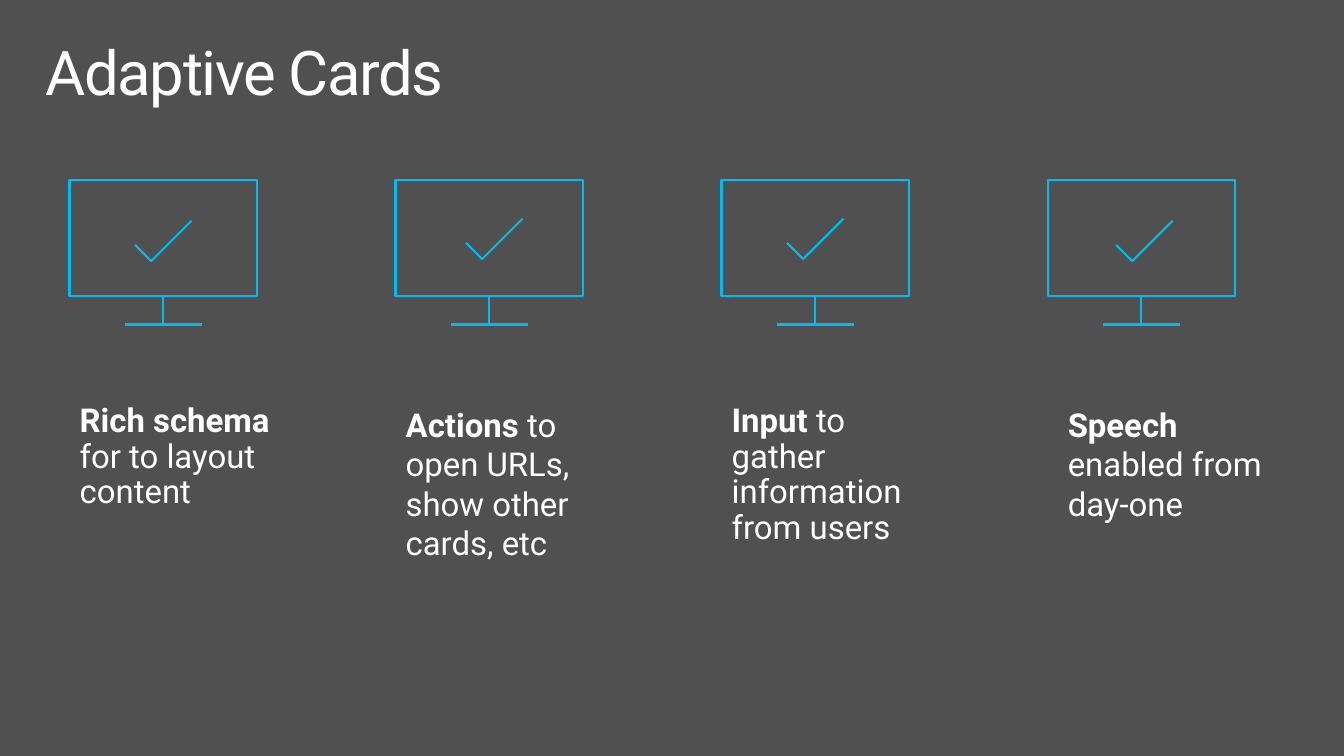
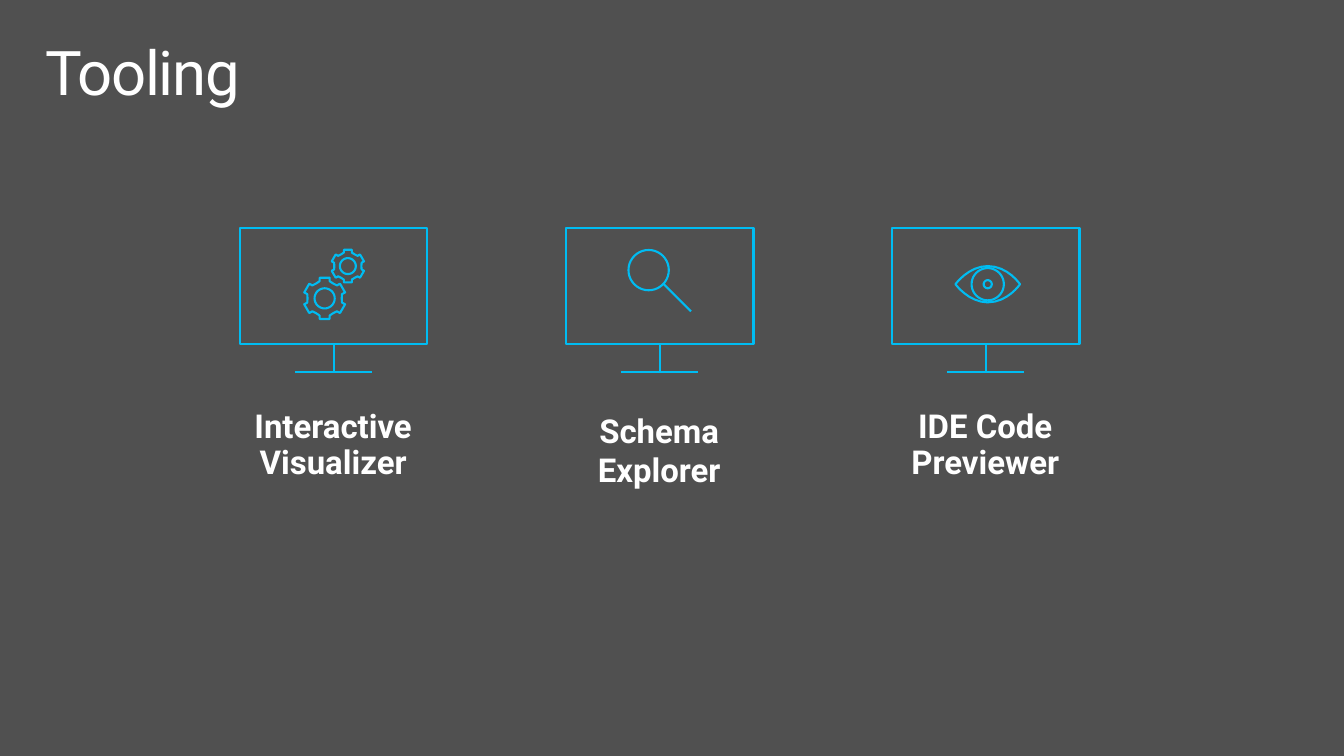
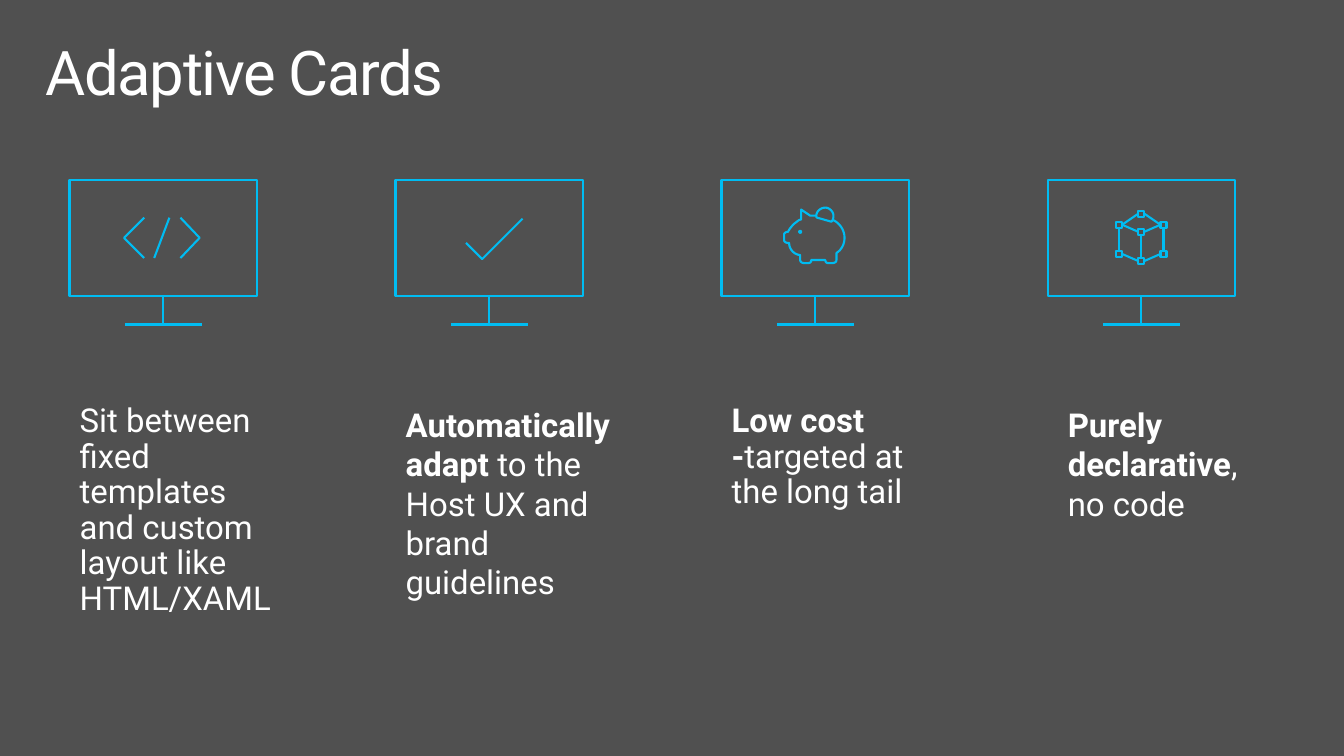
from dataclasses import dataclass
from math import cos, pi, sin

from pptx import Presentation
from pptx.dml.color import RGBColor
from pptx.enum.text import MSO_ANCHOR, MSO_AUTO_SIZE, PP_ALIGN
from pptx.util import Inches, Pt

LEFT, CENTER = PP_ALIGN.LEFT, PP_ALIGN.CENTER
TOP = MSO_ANCHOR.TOP
FIXED, GROW = MSO_AUTO_SIZE.NONE, MSO_AUTO_SIZE.SHAPE_TO_FIT_TEXT
TITLE_ONLY = 5


@dataclass(frozen=True)
class Theme:
    background: RGBColor = RGBColor(0x50, 0x50, 0x50)
    text: RGBColor = RGBColor(0xFF, 0xFF, 0xFF)
    accent: RGBColor = RGBColor(0x00, 0xBC, 0xF2)
    font: str = "Roboto"
    title_size: float = 44
    caption_size: float = 23.5
    stroke: float = 1.5
    tight: float = 0.9


@dataclass(frozen=True)
class Card:
    icon: tuple
    bold: str
    plain: str
    height: float
    caption_shift: float = -0.1
    caption_width: float = 2.35


THEME = Theme()
PITCH = 9.7 / 3
SCREEN_WIDTH, SCREEN_HEIGHT, MONITOR_HEIGHT = 1.86, 1.15, 1.43


def shift(strokes, dx, dy):
    return [[(x + dx, y + dy) for x, y in stroke] for stroke in strokes]


def trace(start, *steps, samples=8):
    points = [start]
    for step in steps:
        if len(step) == 1:
            points.append(step[0])
            continue
        nodes = (points[-1], *step)
        for i in range(1, samples + 1):
            t = i / samples
            weights = ((1 - t) ** 3, 3 * t * (1 - t) ** 2, 3 * t * t * (1 - t), t ** 3)
            points.append(tuple(sum(w * node[axis] for w, node in zip(weights, nodes))
                                for axis in (0, 1)))
    return points


def circle(cx, cy, radius, sides=40):
    angles = [2 * pi * i / sides for i in range(sides + 1)]
    return [(cx + radius * cos(a), cy + radius * sin(a)) for a in angles]


def rectangle(left, top, width, height):
    right, bottom = left + width, top + height
    return [(left, top), (right, top), (right, bottom), (left, bottom), (left, top)]


def check(left, top):
    return shift([[(0.56, 0), (0.16, 0.4), (0, 0.24)]], left, top)


def gear(cx, cy, scale=1.0):
    tooth = [(-0.05, -0.17), (-0.05, -0.205), (0.05, -0.205), (0.05, -0.17), (0.085, -0.147)]
    rim = []
    for k in range(6):
        c, s = cos(k * pi / 3), sin(k * pi / 3)
        rim += [(scale * (x * c - y * s), scale * (x * s + y * c)) for x, y in tooth]
    return shift([rim + rim[:1], circle(0, 0, 0.1 * scale)], cx, cy)


def magnifier():
    return [circle(0.82, 0.42, 0.2), [(0.97, 0.56), (1.24, 0.83)]]


def eye():
    lids = trace((-0.32, 0),
                 ((-0.32, 0), (-0.19, -0.18), (0, -0.18)),
                 ((0.2, -0.18), (0.32, 0), (0.32, 0)),
                 ((0.32, 0), (0.2, 0.18), (0, 0.18)),
                 ((-0.19, 0.18), (-0.32, 0), (-0.32, 0)))
    return shift([lids, circle(0, 0, 0.16), circle(0, 0, 0.04)], 0.95, 0.56)


def code_tag():
    return [[(0.74, 0.77), (0.54, 0.57), (0.74, 0.37)],
            [(1.1, 0.77), (1.29, 0.57), (1.1, 0.37)],
            [(0.99, 0.37), (0.84, 0.77)]]


def piggy_bank():
    coin = trace((0.95, 0.37),
                 ((0.94, 0.37), (0.94, 0.36), (0.94, 0.35)),
                 ((0.94, 0.31), (0.98, 0.27), (1.03, 0.27)),
                 ((1.07, 0.27), (1.11, 0.31), (1.11, 0.35)),
                 ((1.11, 0.38), (1.1, 0.4), (1.09, 0.41)),
                 ((0.95, 0.37),))
    body = trace((0.94, 0.35),
                 ((0.88, 0.35),), ((0.79, 0.29),), ((0.79, 0.38),),
                 ((0.79, 0.38), (0.79, 0.39), (0.78, 0.39)),
                 ((0.77, 0.39), (0.76, 0.4), (0.72, 0.43)),
                 ((0.67, 0.48), (0.66, 0.51), (0.66, 0.51)),
                 ((0.64, 0.51), (0.62, 0.52), (0.62, 0.54)),
                 ((0.62, 0.59),),
                 ((0.62, 0.61), (0.64, 0.62), (0.66, 0.62)),
                 ((0.67, 0.62),),
                 ((0.67, 0.69), (0.73, 0.74), (0.78, 0.74)),
                 ((0.78, 0.79),),
                 ((0.78, 0.81), (0.8, 0.82), (0.82, 0.82)),
                 ((0.86, 0.82),),
                 ((0.88, 0.82), (0.89, 0.81), (0.89, 0.79)),
                 ((1.03, 0.79),),
                 ((1.03, 0.81), (1.04, 0.82), (1.06, 0.82)),
                 ((1.1, 0.82),),
                 ((1.12, 0.82), (1.14, 0.81), (1.14, 0.79)),
                 ((1.14, 0.72),),
                 ((1.19, 0.69), (1.22, 0.63), (1.22, 0.57)),
                 ((1.22, 0.49), (1.17, 0.42), (1.1, 0.39)))
    return [coin, body, circle(0.78, 0.51, 0.01, 8)]


def cube():
    half = 0.03
    back, left, right, front = (0.93, 0.33), (0.71, 0.44), (1.15, 0.44), (0.93, 0.51)
    low_left, low_right, low_front = (0.71, 0.73), (1.15, 0.73), (0.93, 0.8)
    corners = (back, left, right, front, low_left, low_right, low_front)
    edges = ((left, back), (back, right), (left, front), (front, right),
             (low_left, low_front), (low_front, low_right),
             (left, low_left), (right, low_right), (front, low_front))
    strokes = [rectangle(x - half, y - half, 2 * half, 2 * half) for x, y in corners]
    for (x1, y1), (x2, y2) in edges:
        dx, dy = (0, half) if x1 == x2 else (half, 0)
        strokes.append([(x1 + dx, y1 + dy), (x2 - dx, y2 - dy)])
    return strokes


def monitor():
    middle = SCREEN_WIDTH / 2
    return [rectangle(0, 0, SCREEN_WIDTH, SCREEN_HEIGHT),
            [(middle, SCREEN_HEIGHT), (middle, MONITOR_HEIGHT)],
            [(middle - 0.38, MONITOR_HEIGHT), (middle + 0.38, MONITOR_HEIGHT)]]


def draw_outline(slide, strokes, left, top):
    placed = [[(Inches(x), Inches(y)) for x, y in stroke]
              for stroke in shift(strokes, left, top)]
    builder = slide.shapes.build_freeform(*placed[0][0], scale=1.0)
    builder.add_line_segments(placed[0][1:], close=False)
    for stroke in placed[1:]:
        builder.move_to(*stroke[0])
        builder.add_line_segments(stroke[1:], close=False)
    outline = builder.convert_to_shape()
    outline.fill.background()
    outline.line.color.rgb = THEME.accent
    outline.line.width = Pt(THEME.stroke)
    outline.shadow.inherit = False


def set_margins(frame, side, edge):
    frame.margin_left = frame.margin_right = Inches(side)
    frame.margin_top = frame.margin_bottom = Inches(edge)
    frame.vertical_anchor = TOP
    frame.word_wrap = True


def style_run(run, size, bold=False):
    run.font.name = THEME.font
    run.font.size = Pt(size)
    run.font.bold = bold
    run.font.color.rgb = THEME.text


def add_titled_slide(prs, heading):
    slide = prs.slides.add_slide(prs.slide_layouts[TITLE_ONLY])
    title = slide.shapes.title
    title.left, title.top = Inches(0.29), Inches(0.32)
    title.width, title.height = Inches(12.75), Inches(0.98)
    frame = title.text_frame
    frame.text = heading
    frame.auto_size = FIXED
    set_margins(frame, 0.16, 0.1)
    paragraph = frame.paragraphs[0]
    paragraph.alignment = LEFT
    paragraph.line_spacing = THEME.tight
    run = paragraph.runs[0]
    style_run(run, THEME.title_size)
    run.font._element.set("spc", "-100")
    return slide


def add_caption(slide, card, left, top, alignment, tight):
    caption = slide.shapes.add_textbox(Inches(left), Inches(top),
                                       Inches(card.caption_width), Inches(card.height))
    frame = caption.text_frame
    set_margins(frame, 0.2, 0.16)
    frame.auto_size = GROW
    paragraph = frame.paragraphs[0]
    paragraph.alignment = alignment
    if tight:
        paragraph.line_spacing = THEME.tight
        paragraph.space_after = Pt(5.9)
    for words, bold in ((card.bold, True), (card.plain, False)):
        if words:
            run = paragraph.add_run()
            run.text = words
            style_run(run, THEME.caption_size, bold)


def add_card_row(slide, cards, left, top, caption_top, alignment=LEFT):
    for i, card in enumerate(cards):
        card_left = left + i * PITCH
        draw_outline(slide, monitor(), card_left, top)
        for strokes in card.icon:
            draw_outline(slide, strokes, card_left, top)
        add_caption(slide, card, card_left + card.caption_shift, caption_top,
                    alignment, tight=i % 2 == 0)


def add_feature_slide(prs, heading, cards):
    add_card_row(add_titled_slide(prs, heading), cards, 0.69, 1.79, 3.85)


def add_tooling_slide(prs, heading, cards):
    add_card_row(add_titled_slide(prs, heading), cards, 2.38, 2.26, 3.91, CENTER)


def main():
    prs = Presentation()
    prs.slide_width, prs.slide_height = Inches(13.33), Inches(7.5)
    backdrop = prs.slide_master.background.fill
    backdrop.solid()
    backdrop.fore_color.rgb = THEME.background

    add_feature_slide(prs, "Adaptive Cards", [
        Card((check(0.65, 0.4),), "Rich schema ", "for to layout content", 1.39),
        Card((check(0.7, 0.38),), "Actions ", "to open URLs, show other cards, etc", 1.9,
             caption_width=2.45),
        Card((check(0.65, 0.38),), "Input ", "to gather information from users", 1.74),
        Card((check(0.68, 0.4),), "Speech ", "enabled from day-one", 1.5, caption_shift=0),
    ])
    add_tooling_slide(prs, "Tooling", [
        Card((gear(0.84, 0.7), gear(1.07, 0.38, 0.79)), "Interactive Visualizer", "", 1.03,
             caption_shift=-0.25),
        Card((magnifier(),), "Schema Explorer", "", 1.11, caption_shift=-0.25),
        Card((eye(),), "IDE Code Previewer", "", 1.03, caption_shift=-0.25),
    ])
    add_feature_slide(prs, "Adaptive Cards", [
        Card((code_tag(),), "",
             "Sit between fixed templates and custom layout like HTML/XAML", 2.89),
        Card((check(0.7, 0.38),), "Automatically adapt ",
             "to the Host UX and brand guidelines", 2.3, caption_width=2.45),
        Card((piggy_bank(),), "Low cost -", "targeted at the long tail", 1.39),
        Card((cube(),), "Purely declarative", ", no code", 1.53, caption_shift=0),
    ])
    prs.save("out.pptx")


if __name__ == "__main__":
    main()
